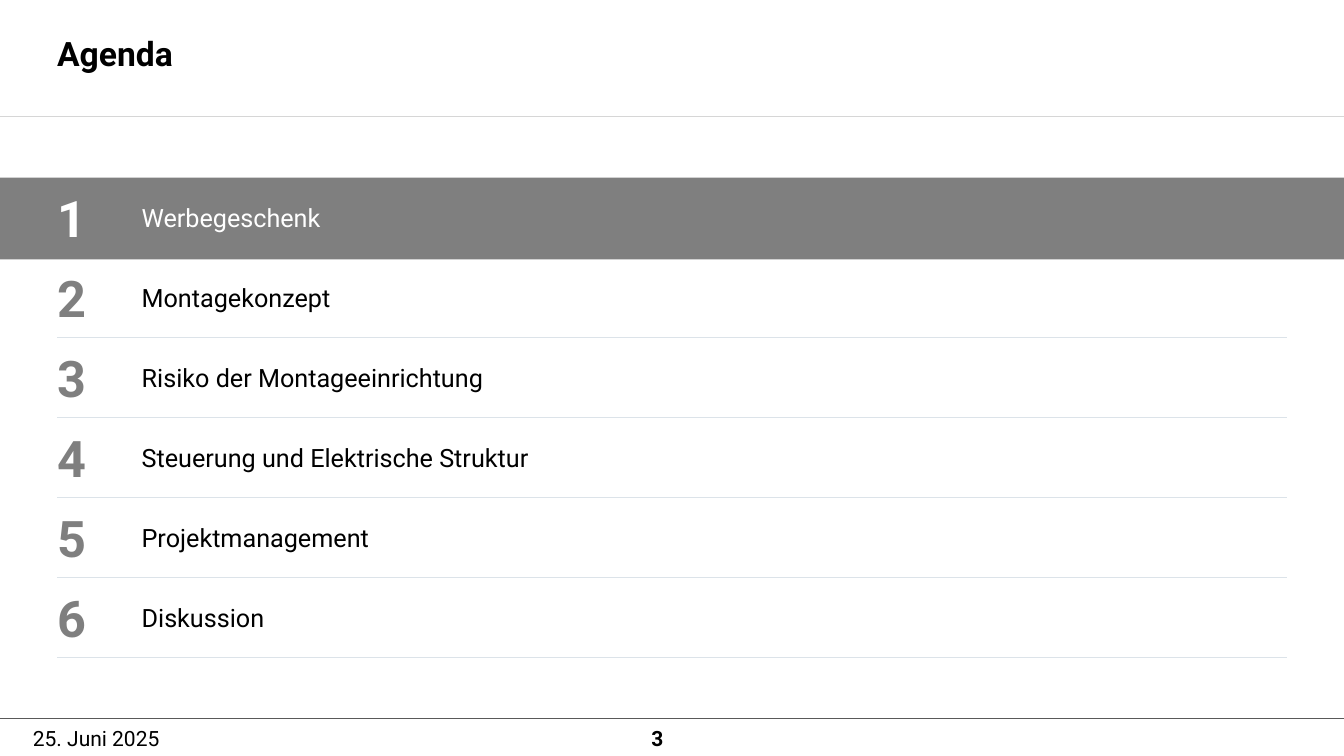
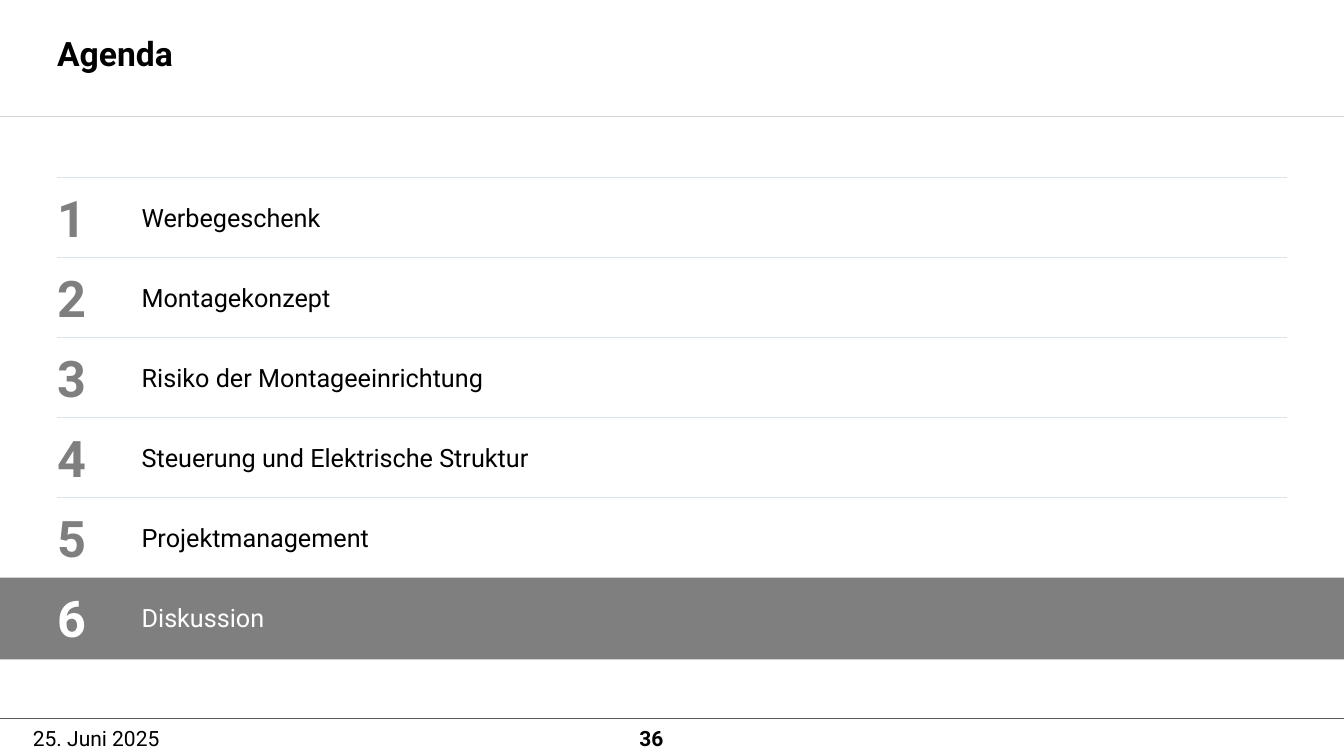
"""Build two agenda slides, each highlighting one section."""
from dataclasses import dataclass

from lxml import etree
from pptx import Presentation
from pptx import util as u
from pptx.dml.color import RGBColor
from pptx.enum import shapes, text
from pptx.oxml.ns import qn
from pptx.slide import Slide

FONT = "Roboto"
BLACK, WHITE, GREY = "000000", "FFFFFF", "7F7F7F"
HEADER_RULE, FOOTER_RULE, ROW_RULE = "D6D6D6", "595959", "DCE3E9"
WIDTH, HEIGHT = 33.87, 19.05
MARGIN, RIGHT_EDGE = 1.44, 32.43
LIST_TOP, LIST_BOTTOM = 4.48, 16.57
LABEL_LEFT, LABEL_WIDTH = 3.57, 12
TEXT_INSET, TEXT_HEIGHT = 0.23, 1.55
BAND_HEIGHT = 2.06
FOOTER_TOP, FOOTER_HEIGHT = 18.29, 0.64
TITLE = "Agenda"
DATE = "25. Juni 2025"
SECTIONS = (
    "Werbegeschenk",
    "Montagekonzept",
    "Risiko der Montageeinrichtung",
    "Steuerung und Elektrische Struktur",
    "Projektmanagement",
    "Diskussion",
)
ROW_PITCH = (LIST_BOTTOM - LIST_TOP) / len(SECTIONS)


@dataclass(frozen=True)
class Agenda:
    active: int
    number: str


@dataclass(frozen=True)
class Style:
    size: float
    color: str = BLACK
    bold: bool = False
    align: text.PP_ALIGN = text.PP_ALIGN.LEFT
    anchor: text.MSO_ANCHOR = text.MSO_ANCHOR.TOP


TITLE_STYLE = Style(24, bold=True)
DATE_STYLE = Style(15)
NUMBER_STYLE = Style(15, bold=True, align=text.PP_ALIGN.RIGHT)

AGENDAS = (Agenda(1, "3"), Agenda(6, "36"))


def rgb(color: str) -> RGBColor:
    return RGBColor.from_string(color)


def add_rule(page: Slide, left: float, right: float, top: float, color: str, weight: float) -> None:
    rule = page.shapes.add_connector(
        shapes.MSO_CONNECTOR.STRAIGHT, u.Cm(left), u.Cm(top), u.Cm(right), u.Cm(top)
    )
    rule.line.color.rgb = rgb(color)
    rule.line.width = u.Pt(weight)
    etree.SubElement(rule._element.spPr, qn("a:effectLst"))


def add_text(
    page: Slide, words: str, left: float, top: float, width: float, height: float, style: Style
) -> None:
    box = page.shapes.add_textbox(u.Cm(left), u.Cm(top), u.Cm(width), u.Cm(height))
    frame = box.text_frame
    frame.margin_left = frame.margin_right = frame.margin_top = frame.margin_bottom = 0
    frame.word_wrap = True
    frame.vertical_anchor = style.anchor
    para = frame.paragraphs[0]
    para.alignment = style.align
    span = para.add_run()
    span.text = words
    span.font.name = FONT
    span.font.size = u.Pt(style.size)
    span.font.bold = style.bold
    span.font.color.rgb = rgb(style.color)


def add_band(page: Slide, top: float) -> None:
    band = page.shapes.add_shape(
        shapes.MSO_SHAPE.RECTANGLE, 0, u.Cm(top), u.Cm(WIDTH), u.Cm(BAND_HEIGHT)
    )
    band.shadow.inherit = False
    band.fill.solid()
    band.fill.fore_color.rgb = rgb(GREY)
    band.line.fill.background()


def add_frame(page: Slide, number: str) -> None:
    add_rule(page, 0, WIDTH, 18.11, FOOTER_RULE, 0.5)
    add_rule(page, 0, WIDTH, 2.93, HEADER_RULE, 0.5)
    add_text(page, TITLE, MARGIN, 0.84, 25.35, 1.02, TITLE_STYLE)
    add_text(page, DATE, 0.83, FOOTER_TOP, 4, FOOTER_HEIGHT, DATE_STYLE)
    add_text(page, number, 15.65, FOOTER_TOP, 1.07, FOOTER_HEIGHT, NUMBER_STYLE)


def add_section(page: Slide, position: int, label: str, active: bool) -> None:
    top = LIST_TOP + (position - 1) * ROW_PITCH + TEXT_INSET
    middle = text.MSO_ANCHOR.MIDDLE
    number_style = Style(36, WHITE if active else GREY, bold=True, anchor=middle)
    label_style = Style(18, WHITE if active else BLACK, anchor=middle)
    add_text(page, label, LABEL_LEFT, top, LABEL_WIDTH, TEXT_HEIGHT, label_style)
    add_text(page, str(position), MARGIN, top, 1.63, TEXT_HEIGHT, number_style)


def add_agenda(page: Slide, agenda: Agenda) -> None:
    add_frame(page, agenda.number)
    active_row = agenda.active - 1
    for row in range(len(SECTIONS) + 1):
        if row not in (active_row, agenda.active):
            add_rule(page, MARGIN, RIGHT_EDGE, LIST_TOP + row * ROW_PITCH, ROW_RULE, 0.75)
    add_band(page, LIST_TOP + active_row * ROW_PITCH)
    for position, label in enumerate(SECTIONS, start=1):
        add_section(page, position, label, position == agenda.active)


def main() -> None:
    deck = Presentation()
    deck.slide_width, deck.slide_height = u.Cm(WIDTH), u.Cm(HEIGHT)
    for agenda in AGENDAS:
        add_agenda(deck.slides.add_slide(deck.slide_layouts[6]), agenda)
    deck.save("out.pptx")


if __name__ == "__main__":
    main()
